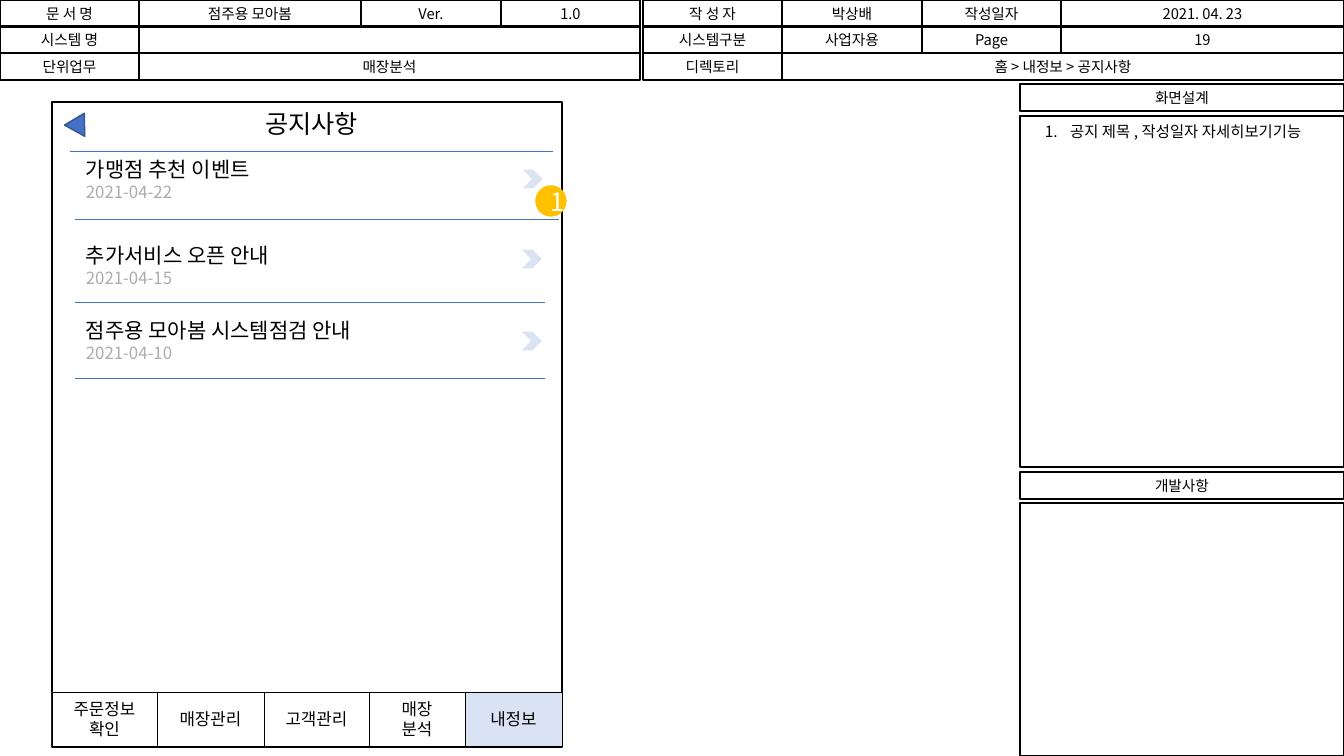
import pptx
import pptx.dml.color
import pptx.enum.shapes
import pptx.enum.text
import pptx.oxml
import pptx.oxml.ns
import pptx.util

PX = 914400 / 100.8
FONT = "Noto Sans CJK KR"
BLACK, WHITE, GREY = "000000", "FFFFFF", "AFABAB"
BLUE, PALE, NAVY, AMBER = "4472C4", "DAE3F3", "325491", "FFC000"
SHAPE = pptx.enum.shapes.MSO_SHAPE
ALIGN = pptx.enum.text.PP_ALIGN

HEADER_ROWS = [
    (0, [0, 139, 361, 501, 640], ["문 서 명", "점주용 모아봄", "Ver.", "1.0"]),
    (0, [643, 782, 922, 1061, 1344], ["작 성 자", "박상배", "작성일자", "2021. 04. 23"]),
    (26, [0, 139, 640], ["시스템 명", ""]),
    (26, [643, 782, 922, 1061, 1344], ["시스템구분", "사업자용", "Page", "19"]),
    (53, [0, 139, 640], ["단위업무", "매장분석"]),
    (53, [643, 782, 1344], ["디렉토리", "홈 > 내정보 > 공지사항"]),
]
NOTICES = [
    (152, 169, "가맹점 추천 이벤트", "2021-04-22"),
    (238, 249, "추가서비스 오픈 안내", "2021-04-15"),
    (313, 331, "점주용 모아봄 시스템점검 안내", "2021-04-10"),
]
DIVIDERS = [(70, 553, 151), (75, 559, 219), (75, 545, 302), (75, 545, 378)]
TAB_EDGES = [52, 157, 264, 369, 465, 562]
TABS = ["주문정보\n확인", "매장관리", "고객관리", "매장\n분석", "내정보"]
PANELS = [(84, 27, "화면설계"), (116, 351, ""), (472, 27, "개발사항"), (503, 253, "")]


def px(*lengths):
    """Turn pixel lengths into EMU."""
    return [pptx.util.Emu(round(length * PX)) for length in lengths]


def color(code):
    """Turn a hex string into a colour."""
    return pptx.dml.color.RGBColor.from_string(code)


def add_element(parent, tag, **attributes):
    """Append a drawing element to a parent element."""
    element = pptx.oxml.parse_xml(f"<a:{tag} {pptx.oxml.ns.nsdecls('a')}/>")
    for name, value in attributes.items():
        element.set(name, value)
    parent.append(element)


def write(para, text, size=10.5, ink=BLACK, align=ALIGN.CENTER):
    """Write one formatted span into a paragraph."""
    para.alignment = align
    span = para.add_run()
    span.text = text
    span.font.size = pptx.util.Pt(size)
    span.font.name = FONT
    span.font.color.rgb = color(ink)
    add_element(span.font._element, "ea", typeface=FONT)


def add_block(page, kind, left, top, width, height, text="", fill=None,
              line=BLACK, weight=1, **style):
    """Add a preset shape with optional centred lines of text."""
    block = page.shapes.add_shape(kind, *px(left, top, width, height))
    block.shadow.inherit = False
    if fill:
        block.fill.solid()
        block.fill.fore_color.rgb = color(fill)
    else:
        block.fill.background()
    block.line.color.rgb = color(line)
    block.line.width = pptx.util.Pt(weight)
    if text:
        frame = block.text_frame
        frame.vertical_anchor = pptx.enum.text.MSO_ANCHOR.MIDDLE
        for index, words in enumerate(text.split("\n")):
            para = frame.add_paragraph() if index else frame.paragraphs[0]
            write(para, words, **style)
    return block


def add_text(page, left, top, width, height):
    """Add a wrapping text box and return its frame."""
    frame = page.shapes.add_textbox(*px(left, top, width, height)).text_frame
    frame.word_wrap = True
    frame.auto_size = pptx.enum.text.MSO_AUTO_SIZE.SHAPE_TO_FIT_TEXT
    return frame


def add_divider(page, left, right, top):
    """Add a thin horizontal rule."""
    straight = pptx.enum.shapes.MSO_CONNECTOR.STRAIGHT
    rule = page.shapes.add_connector(straight, *px(left, top, right, top))
    rule.line.color.rgb = color(BLUE)
    rule.line.width = pptx.util.Pt(0.5)
    add_element(rule._element.spPr, "effectLst")


def add_notice(page, top, arrow_top, title, date):
    """Add a notice with its title, date and chevron."""
    frame = add_text(page, 76, top, 413, 56)
    write(frame.paragraphs[0], title, size=15, align=ALIGN.LEFT)
    write(frame.add_paragraph(), date, size=12, ink=GREY, align=ALIGN.LEFT)
    left = 521 if arrow_top == NOTICES[0][1] else 520
    add_block(page, SHAPE.CHEVRON, left, arrow_top, 23, 20, fill=PALE, line=WHITE)


def add_header(page):
    """Add the document information cells."""
    for top, edges, labels in HEADER_ROWS:
        for left, right, label in zip(edges, edges[1:], labels):
            add_block(page, SHAPE.RECTANGLE, left, top, right - left, 27, label)


def add_phone(page):
    """Add the notice screen with its list and tab bar."""
    add_block(page, SHAPE.RECTANGLE, 52, 102, 510, 645, fill=WHITE)
    title = add_text(page, 76, 103, 471, 40)
    write(title.paragraphs[0], "공지사항", size=18)
    for notice in NOTICES:
        add_notice(page, *notice)
    for divider in DIVIDERS:
        add_divider(page, *divider)
    back = add_block(page, SHAPE.ISOSCELES_TRIANGLE, 68, 112, 23, 20,
                     fill=BLUE, line=NAVY)
    back.rotation = -90 + 119.1
    add_block(page, SHAPE.OVAL, 536, 186, 30, 30, "1", fill=AMBER, line=AMBER,
              size=18, ink=WHITE)
    for left, right, label in zip(TAB_EDGES, TAB_EDGES[1:], TABS):
        add_block(page, SHAPE.RECTANGLE, left, 692, right - left, 54, label,
                  fill=PALE if label == TABS[-1] else WHITE, weight=0.5, size=12)


def add_guide(page):
    """Add the side panels and the numbered description."""
    for top, height, label in PANELS:
        add_block(page, SHAPE.RECTANGLE, 1020, top, 324, height, label)
    para = add_text(page, 1035, 117, 309, 29).paragraphs[0]
    properties = para._p.get_or_add_pPr()
    properties.set("marL", "228600")
    properties.set("indent", "-228600")
    add_element(properties, "buFont", typeface=FONT)
    add_element(properties, "buAutoNum", type="arabicPeriod")
    write(para, "공지 제목 , 작성일자 자세히보기기능", size=11, align=ALIGN.LEFT)


def main():
    """Build the notice screen design page."""
    deck = pptx.Presentation()
    deck.slide_width, deck.slide_height = px(1344, 756)
    page = deck.slides.add_slide(deck.slide_layouts[6])
    add_phone(page)
    add_header(page)
    add_guide(page)
    deck.save("out.pptx")


if __name__ == "__main__":
    main()
